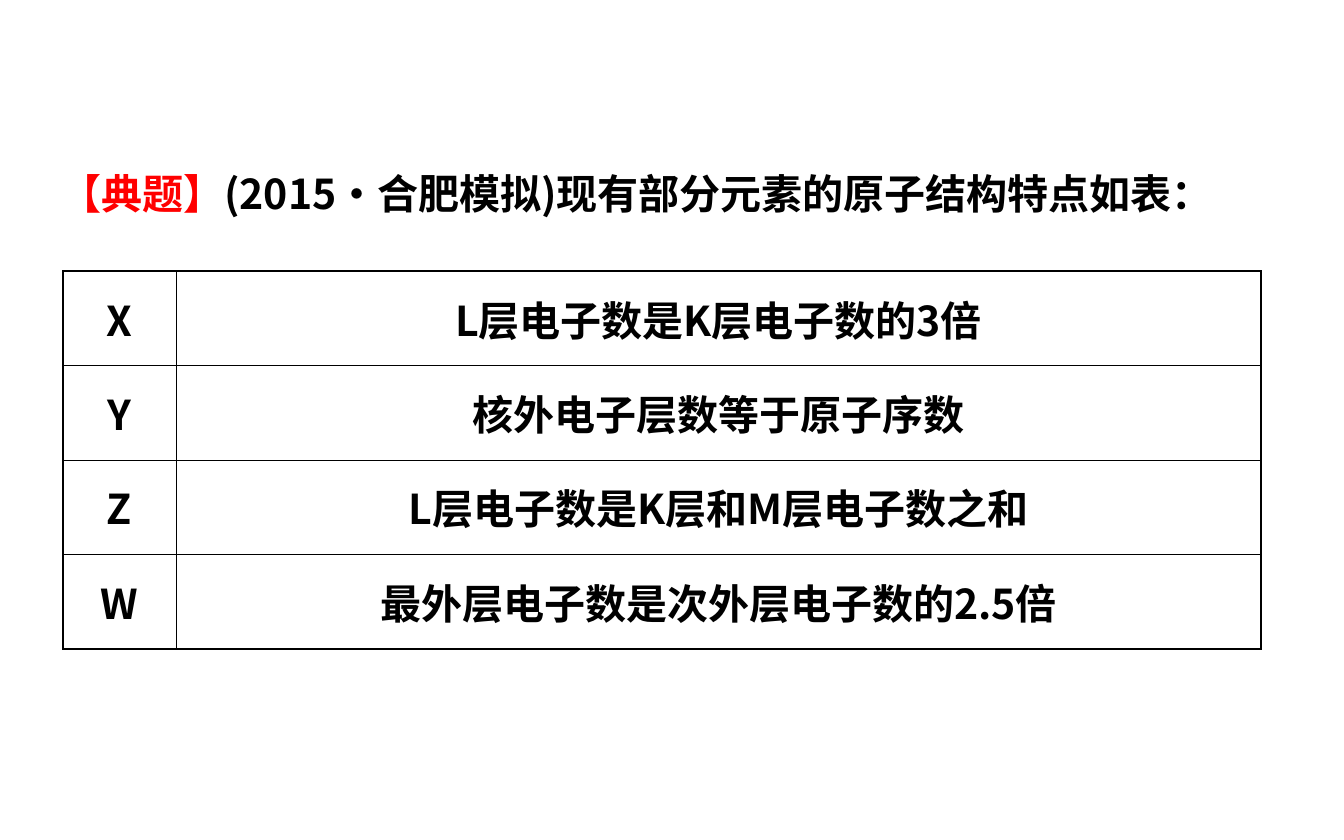
import pptx
import pptx.dml.color
import pptx.enum.text
import pptx.oxml
import pptx.oxml.ns
import pptx.util

BLACK = pptx.dml.color.RGBColor(0x00, 0x00, 0x00)
RED = pptx.dml.color.RGBColor(0xFF, 0x00, 0x00)
WHITE = pptx.dml.color.RGBColor(0xFF, 0xFF, 0xFF)
EMU_PER_PX = 914400 / 134.4
SLIDE_WIDTH, SLIDE_HEIGHT = 1344, 840
BLANK_LAYOUT = 6
INNER_LINE, OUTER_LINE = 0.45, 1.08

QUESTION = [
    ("【典题】", RED),
    ("(2015·合肥模拟)现有部分元素的原子结构特点如表：", BLACK),
]
ELEMENTS = [
    ("X", "L层电子数是K层电子数的3倍"),
    ("Y", "核外电子层数等于原子序数"),
    ("Z", "L层电子数是K层和M层电子数之和"),
    ("W", "最外层电子数是次外层电子数的2.5倍"),
]


def px(length):
    return pptx.util.Emu(round(length * EMU_PER_PX))


class SlideBuilder:
    font_format = {
        "name": "Noto Sans CJK SC",
        "size": pptx.util.Pt(22),
        "bold": True,
    }

    def __init__(self, slide):
        self.slide = slide

    def add_run(self, paragraph, text, color):
        run = paragraph.add_run()
        run.text = text
        for name, value in self.font_format.items():
            setattr(run.font, name, value)
        run.font.color.rgb = color
        east_asian = pptx.oxml.ns.qn("a:ea")
        run.font._element.makeelement(east_asian)
        typeface = pptx.oxml.parse_xml(
            f'<a:ea {pptx.oxml.ns.nsdecls("a")} typeface="{self.font_format["name"]}"/>'
        )
        run.font._element.append(typeface)

    def add_text(self, left, top, width, height, runs, line_spacing):
        shape = self.slide.shapes.add_textbox(px(left), px(top), px(width), px(height))
        shape.text_frame.word_wrap = True
        paragraph = shape.text_frame.paragraphs[0]
        paragraph.line_spacing = line_spacing
        for text, color in runs:
            self.add_run(paragraph, text, color)

    def add_borders(self, cell, widths):
        properties = cell._tc.get_or_add_tcPr()
        for index, (side, width) in enumerate(widths.items()):
            line = pptx.oxml.parse_xml(
                f'<a:ln{side} {pptx.oxml.ns.nsdecls("a")} w="{pptx.util.Pt(width)}">'
                f'<a:solidFill><a:srgbClr val="{BLACK}"/></a:solidFill></a:ln{side}>'
            )
            properties.insert(index, line)

    def add_table(self, left, top, column_widths, height, rows):
        row_count, column_count = len(rows), len(column_widths)
        table = self.slide.shapes.add_table(
            row_count, column_count, px(left), px(top), px(sum(column_widths)), px(height)
        ).table
        for column, width in zip(table.columns, column_widths):
            column.width = px(width)
        for row_index, texts in enumerate(rows):
            table.rows[row_index].height = px(height / row_count)
            for column_index, text in enumerate(texts):
                cell = table.cell(row_index, column_index)
                cell.fill.solid()
                cell.fill.fore_color.rgb = WHITE
                cell.vertical_anchor = pptx.enum.text.MSO_ANCHOR.MIDDLE
                paragraph = cell.text_frame.paragraphs[0]
                paragraph.alignment = pptx.enum.text.PP_ALIGN.CENTER
                self.add_run(paragraph, text, BLACK)
                outer_sides = {
                    "L": column_index == 0,
                    "R": column_index == column_count - 1,
                    "T": row_index == 0,
                    "B": row_index == row_count - 1,
                }
                self.add_borders(cell, {
                    side: OUTER_LINE if outer else INNER_LINE
                    for side, outer in outer_sides.items()
                })


def main():
    presentation = pptx.Presentation()
    presentation.slide_width = px(SLIDE_WIDTH)
    presentation.slide_height = px(SLIDE_HEIGHT)
    slide = presentation.slides.add_slide(presentation.slide_layouts[BLANK_LAYOUT])
    builder = SlideBuilder(slide)
    builder.add_text(47, 122, 1267, 102, QUESTION, 1.8)
    builder.add_table(63, 271, [113, 1085], 378, ELEMENTS)
    presentation.save("out.pptx")


if __name__ == "__main__":
    main()
